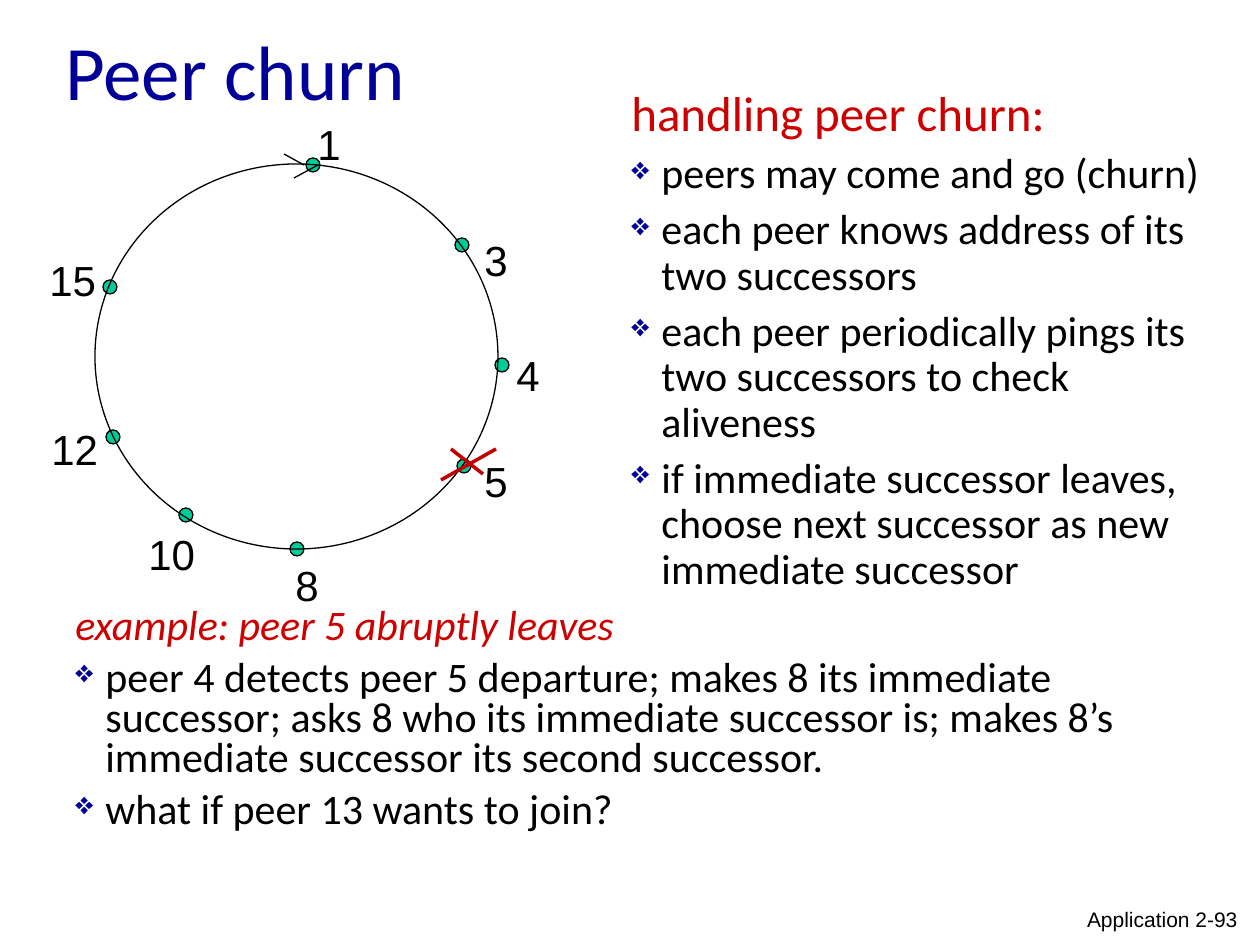
from lxml import etree
from pptx import Presentation
from pptx.dml.color import RGBColor
from pptx.enum.shapes import MSO_CONNECTOR, MSO_SHAPE
from pptx.enum.text import MSO_ANCHOR, MSO_AUTO_SIZE, PP_ALIGN
from pptx.oxml.ns import qn
from pptx.util import Emu, Pt

ELLIPSE = MSO_SHAPE.OVAL
STRAIGHT = MSO_CONNECTOR.STRAIGHT
MIDDLE = MSO_ANCHOR.MIDDLE
FIT_SHAPE = MSO_AUTO_SIZE.SHAPE_TO_FIT_TEXT
RIGHT = PP_ALIGN.RIGHT

EMU_PER_PX = 914400 / 126
COLORS = {
    "navy": "000099",
    "red": "CC0000",
    "cross": "C00000",
    "peer": "00CC99",
    "black": "000000",
}
DOT_SIZE = 14
BULLET_INDENT = 30

# peer number, dot left and top, label left and top
PEERS = [
    ("1", (306, 158), (305, 112)),
    ("3", (455, 238), (472, 228)),
    ("4", (495, 358), (504, 343)),
    ("5", (457, 459), (472, 449)),
    ("8", (290, 542), (283, 553)),
    ("10", (179, 508), (136, 522)),
    ("12", (106, 430), (39, 417)),
    ("15", (103, 280), (37, 248)),
]
ARROW_STROKES = [((284, 154), (304, 165)), ((318, 165), (294, 178))]
CROSS_STROKES = [((451, 449), (483, 474)), ((496, 449), (441, 480))]

HANDLING = [
    "peers may come and go (churn)",
    "each peer knows address of its two successors",
    "each peer periodically pings its\vtwo successors to check aliveness",
    "if immediate successor leaves, choose next successor as new immediate successor",
]
EXAMPLE = [
    "peer 4 detects peer 5 departure; makes 8 its immediate successor; "
    "asks 8 who its immediate successor is; makes 8’s immediate successor "
    "its second successor.",
    "what if peer 13 wants to join?",
]


def px(length):
    return Emu(round(length * EMU_PER_PX))


def rgb(name):
    return RGBColor.from_string(COLORS[name])


def format_runs(paragraph, size, color="black", font="Calibri", italic=False):
    for run in paragraph.runs:
        run.font.size = Pt(size)
        run.font.name = font
        run.font.italic = italic
        run.font.color.rgb = rgb(color)


def add_text(slide, box, text, size, color="black", font="Calibri", italic=False):
    holder = slide.shapes.add_textbox(*map(px, box))
    frame = holder.text_frame
    frame.word_wrap = True
    frame.text = text
    format_runs(frame.paragraphs[0], size, color, font, italic)
    return frame


def add_bullet(paragraph):
    properties = paragraph._p.get_or_add_pPr()
    properties.set("marL", str(px(BULLET_INDENT)))
    properties.set("indent", str(-px(BULLET_INDENT)))
    bullet_color = etree.SubElement(properties, qn("a:buClr"))
    etree.SubElement(bullet_color, qn("a:srgbClr"), val=COLORS["navy"])
    etree.SubElement(properties, qn("a:buSzPct"), val="75000")
    etree.SubElement(properties, qn("a:buChar"), char="❖")


def add_bullets(frame, items, line_spacing, space_before):
    for item in items:
        paragraph = frame.add_paragraph()
        paragraph.text = item
        add_bullet(paragraph)
        paragraph.line_spacing = line_spacing
        paragraph.space_before = Pt(space_before)
        format_runs(paragraph, 24)


def add_ellipse(slide, box, fill=None):
    ellipse = slide.shapes.add_shape(ELLIPSE, *map(px, box))
    ellipse.shadow.inherit = False
    if fill:
        ellipse.fill.solid()
        ellipse.fill.fore_color.rgb = rgb(fill)
    else:
        ellipse.fill.background()
    ellipse.line.color.rgb = rgb("black")
    ellipse.line.width = Pt(0.75)


def add_stroke(slide, start, end, color, width):
    stroke = slide.shapes.add_connector(STRAIGHT, *map(px, start + end))
    stroke.line.color.rgb = rgb(color)
    stroke.line.width = Pt(width)
    etree.SubElement(stroke._element.spPr, qn("a:effectLst"))


def add_peer_ring(slide):
    for number, dot, label in PEERS:
        add_ellipse(slide, dot + (DOT_SIZE, DOT_SIZE), "peer")
        label_width = 24 + 24 * len(number)
        frame = add_text(slide, label + (label_width, 63), number, 24, font="Arial")
        frame.word_wrap = False
        frame.auto_size = FIT_SHAPE
    add_ellipse(slide, (95, 164, 403, 385))
    for start, end in ARROW_STROKES:
        add_stroke(slide, start, end, "black", 0.75)
    for start, end in CROSS_STROKES:
        add_stroke(slide, start, end, "cross", 2)


def main():
    presentation = Presentation()
    presentation.slide_width = px(1260)
    presentation.slide_height = px(945)
    slide = presentation.slides.add_slide(presentation.slide_layouts[6])

    title = add_text(slide, (53, 0, 1134, 140), "Peer churn", 44, "navy")
    title.vertical_anchor = MIDDLE

    example = add_text(slide, (63, 602, 1134, 294),
                       "example: peer 5 abruptly leaves", 24, "red", italic=True)
    example.paragraphs[0].line_spacing = 0.8
    add_bullets(example, EXAMPLE, 0.8, 6.5)

    add_peer_ring(slide)

    handling = add_text(slide, (619, 76, 610, 721), "handling peer churn:", 28, "red")
    add_bullets(handling, HANDLING, Pt(26), 6)

    footer = add_text(slide, (1050, 900, 200, 39), "Application 2-93", 12, font="Arial")
    footer.paragraphs[0].alignment = RIGHT

    presentation.save("out.pptx")


if __name__ == "__main__":
    main()
